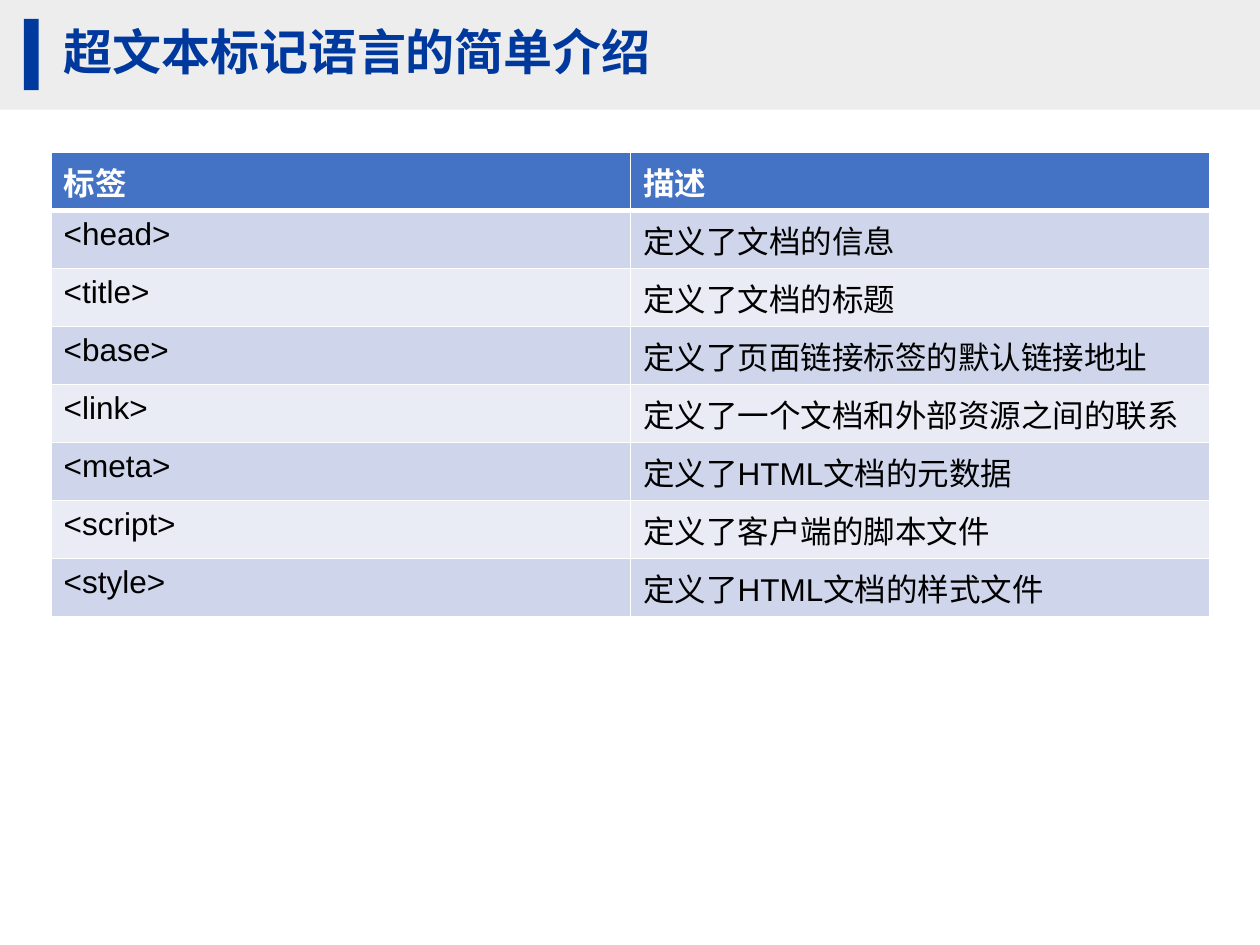
from pptx import Presentation
from pptx.dml.color import RGBColor
from pptx.enum.shapes import MSO_SHAPE
from pptx.enum.text import MSO_ANCHOR
from pptx.oxml import parse_xml
from pptx.oxml.ns import nsdecls
from pptx.util import Cm, Pt

# Content
TITLE = "超文本标记语言的简单介绍"
ROWS = [
    ("标签", "描述"),
    ("<head>", "定义了文档的信息"),
    ("<title>", "定义了文档的标题"),
    ("<base>", "定义了页面链接标签的默认链接地址"),
    ("<link>", "定义了一个文档和外部资源之间的联系"),
    ("<meta>", "定义了HTML文档的元数据"),
    ("<script>", "定义了客户端的脚本文件"),
    ("<style>", "定义了HTML文档的样式文件"),
]

# Colours
GREY = RGBColor(0xED, 0xED, 0xED)
NAVY = RGBColor(0x01, 0x3A, 0x9E)
INK = RGBColor(0x00, 0x39, 0x9E)
BLUE = RGBColor(0x44, 0x72, 0xC4)
BANDS = [RGBColor(0xE9, 0xEB, 0xF5), RGBColor(0xCF, 0xD5, 0xEA)]
WHITE = RGBColor(0xFF, 0xFF, 0xFF)
BLACK = RGBColor(0, 0, 0)

# Formats
HEAD = {"size": Pt(18), "name": "Arial", "bold": True}
BODY = HEAD | {"bold": False}
TOP = HEAD | {"size": Pt(28)}

# Sizes in cm
WIDE, HIGH = 25.4, 19.05
BAND = 2.21
LEFT = 1.03
COL, ROW = 11.68, 1.17


def style(font, form, color):
    for key, value in form.items():
        setattr(font, key, value)
    font.color.rgb = color


def add_bar(slide, box, color):
    bar = slide.shapes.add_shape(MSO_SHAPE.RECTANGLE, *map(Cm, box))
    bar.shadow.inherit = False
    bar.fill.solid()
    bar.fill.fore_color.rgb = color
    bar.line.fill.background()


def add_title(slide):
    box = slide.shapes.add_textbox(Cm(LEFT), 0, Cm(24.46), Cm(BAND))
    frame = box.text_frame
    frame.word_wrap = True
    frame.vertical_anchor = MSO_ANCHOR.MIDDLE
    para = frame.paragraphs[0]
    para.line_spacing = 0.9
    run = para.add_run()
    run.text = TITLE
    style(run.font, TOP, INK)


def add_edges(cell, base):
    props = cell._tc.get_or_add_tcPr()
    sides = {"lnL": 1, "lnR": 1, "lnT": 1, "lnB": base}
    for at, (side, width) in enumerate(sides.items()):
        line = parse_xml(
            f'<a:{side} {nsdecls("a")} w="{Pt(width)}"><a:solidFill>'
            f'<a:srgbClr val="{WHITE}"/></a:solidFill></a:{side}>')
        props.insert(at, line)


def add_grid(slide):
    count = len(ROWS)
    grid = slide.shapes.add_table(
        count, 2, Cm(LEFT), Cm(3.07), Cm(2 * COL), Cm(count * ROW)).table
    for r, row in enumerate(ROWS):
        first = r == 0
        grid.rows[r].height = Cm(ROW)
        for c, text in enumerate(row):
            cell = grid.cell(r, c)
            cell.fill.solid()
            cell.fill.fore_color.rgb = BLUE if first else BANDS[r % 2]
            add_edges(cell, 3 if first else 1)
            run = cell.text_frame.paragraphs[0].add_run()
            run.text = text
            style(run.font, HEAD if first else BODY, WHITE if first else BLACK)


def main():
    deck = Presentation()
    deck.slide_width, deck.slide_height = Cm(WIDE), Cm(HIGH)
    slide = deck.slides.add_slide(deck.slide_layouts[6])

    # Title band
    add_bar(slide, (0, 0, WIDE, BAND), GREY)
    add_bar(slide, (0.48, 0.38, 0.3, 1.44), NAVY)
    add_title(slide)

    # Tag table
    add_grid(slide)
    deck.save("out.pptx")


if __name__ == "__main__":
    main()
